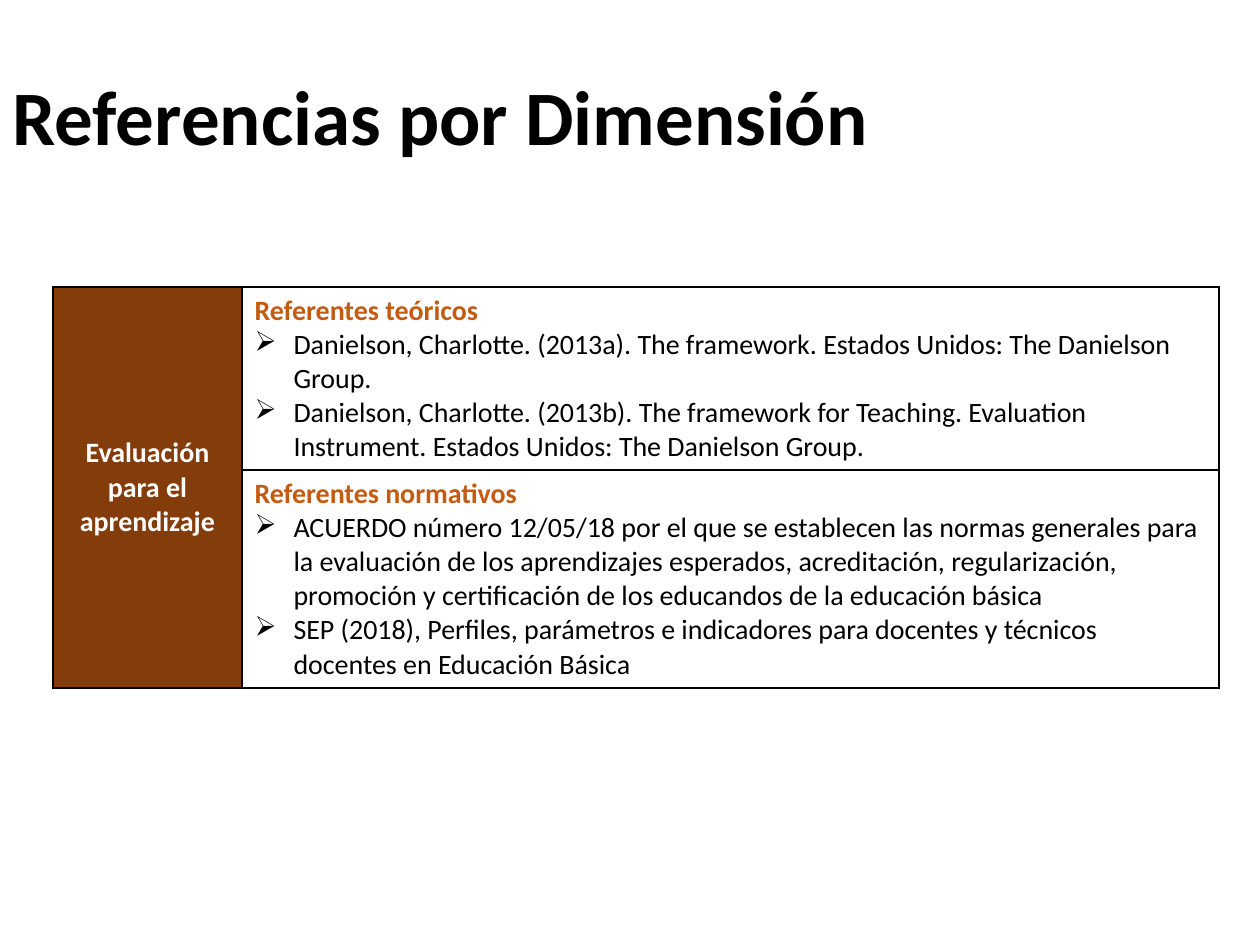
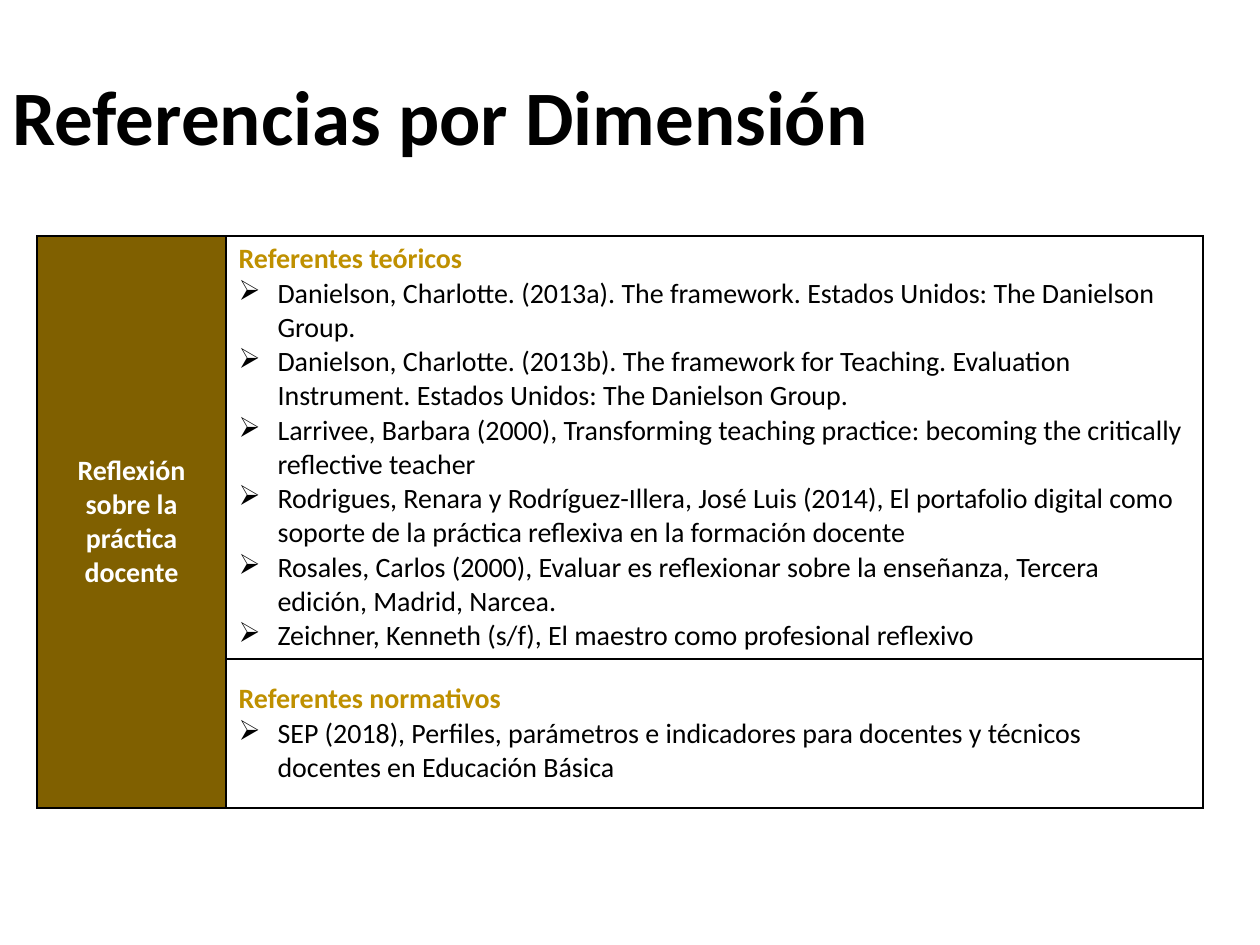
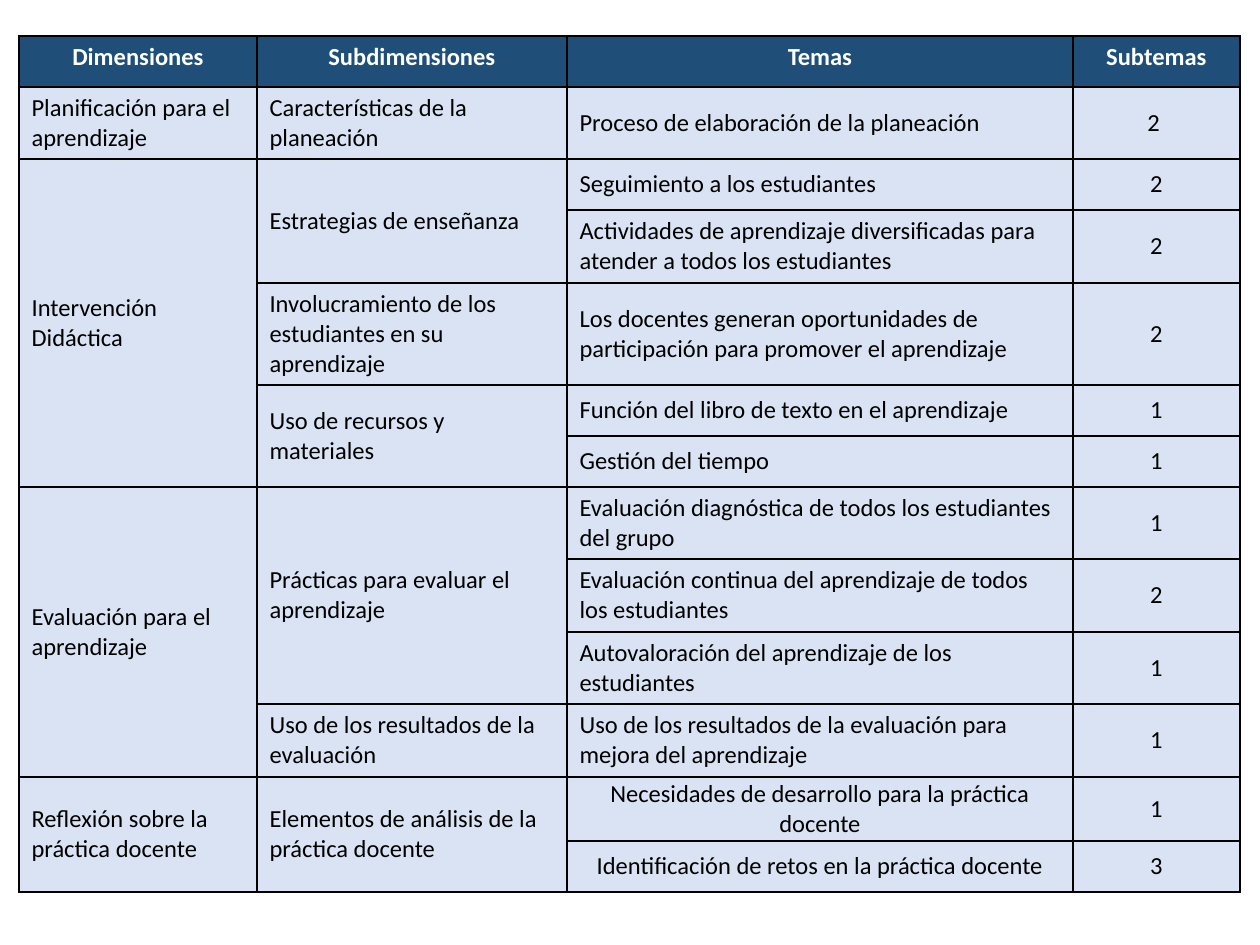
from dataclasses import dataclass
from itertools import accumulate

from lxml.etree import SubElement
from pptx import Presentation
from pptx.dml.color import RGBColor
from pptx.enum.text import MSO_ANCHOR, PP_ALIGN
from pptx.oxml import parse_xml
from pptx.oxml.ns import nsdecls, qn
from pptx.util import Emu, Pt

# Shared style
PX_PER_INCH = 126
FONT = "Calibri"
BLACK = RGBColor(0x00, 0x00, 0x00)
WHITE = RGBColor(0xFF, 0xFF, 0xFF)
BROWN = RGBColor(0x84, 0x3C, 0x0B)
ORANGE = RGBColor(0xC5, 0x5A, 0x11)
OLIVE = RGBColor(0x80, 0x60, 0x00)
GOLD = RGBColor(0xBF, 0x90, 0x00)
NAVY = RGBColor(0x1F, 0x4E, 0x79)
PALE_BLUE = RGBColor(0xDA, 0xE3, 0xF3)

TITLE = "Referencias por Dimensión"
BULLET_INDENT = 39
REFERENCE_COLUMNS = [189, 977]
SUMMARY_COLUMNS = [238, 310, 506, 167]
SUMMARY_ROWS = [51, 72, 51, 73, 102, 51, 51, 72, 73, 72, 73, 64, 51]


@dataclass(frozen=True)
class TextStyle:
    size: int
    color: RGBColor = BLACK
    bold: bool = False
    align: PP_ALIGN = PP_ALIGN.LEFT


@dataclass(frozen=True)
class References:
    heading: str
    entries: list[str]
    height: int


@dataclass(frozen=True)
class DimensionSources:
    name: str
    left: int
    top: int
    band: RGBColor
    accent: RGBColor
    groups: list[References]


@dataclass(frozen=True)
class Topic:
    name: str
    subtopics: str
    centred: bool = False


@dataclass(frozen=True)
class Subdimension:
    name: str
    topics: list[Topic]


@dataclass(frozen=True)
class Dimension:
    name: str
    subdimensions: list[Subdimension]


# Content
DANIELSON = [
    "Danielson, Charlotte. (2013a). The framework. Estados Unidos: The Danielson Group.",
    "Danielson, Charlotte. (2013b). The framework for Teaching. Evaluation Instrument. "
    "Estados Unidos: The Danielson Group.",
]
SEP_PROFILES = ("SEP (2018), Perfiles, parámetros e indicadores para docentes y técnicos "
                "docentes en Educación Básica")
THEORY = "Referentes teóricos"
NORMS = "Referentes normativos"

SOURCES = [
    DimensionSources("Evaluación para el aprendizaje", 53, 287, BROWN, ORANGE, [
        References(THEORY, DANIELSON, 183),
        References(NORMS, [
            "ACUERDO número 12/05/18 por el que se establecen las normas generales para la "
            "evaluación de los aprendizajes esperados, acreditación, regularización, promoción "
            "y certificación de los educandos de la educación básica",
            SEP_PROFILES,
        ], 218),
    ]),
    DimensionSources("Reflexión sobre la práctica docente", 37, 236, OLIVE, GOLD, [
        References(THEORY, DANIELSON + [
            "Larrivee, Barbara (2000), Transforming teaching practice: becoming the critically "
            "reflective teacher",
            "Rodrigues, Renara y Rodríguez-Illera, José Luis (2014), El portafolio digital como "
            "soporte de la práctica reflexiva en la formación docente",
            "Rosales, Carlos (2000), Evaluar es reflexionar sobre la enseñanza, Tercera edición, "
            "Madrid, Narcea.",
            "Zeichner, Kenneth (s/f), El maestro como profesional reflexivo",
        ], 423),
        References(NORMS, [SEP_PROFILES], 149),
    ]),
]

SUMMARY_HEADINGS = ["Dimensiones", "Subdimensiones", "Temas", "Subtemas"]
DIMENSIONS = [
    Dimension("Planificación para el aprendizaje", [
        Subdimension("Características de la planeación", [
            Topic("Proceso de elaboración de la planeación", "2 "),
        ]),
    ]),
    Dimension("Intervención Didáctica", [
        Subdimension("Estrategias de enseñanza", [
            Topic("Seguimiento a los estudiantes", "2"),
            Topic("Actividades de aprendizaje diversificadas para atender a todos los "
                  "estudiantes", "2"),
        ]),
        Subdimension("Involucramiento de los estudiantes en su aprendizaje", [
            Topic("Los docentes generan oportunidades de participación para promover el "
                  "aprendizaje", "2"),
        ]),
        Subdimension("Uso de recursos y materiales", [
            Topic("Función del libro de texto en el aprendizaje", "1"),
            Topic("Gestión del tiempo", "1"),
        ]),
    ]),
    Dimension("Evaluación para el aprendizaje", [
        Subdimension("Prácticas para evaluar el aprendizaje", [
            Topic("Evaluación diagnóstica de todos los estudiantes del grupo", "1"),
            Topic("Evaluación continua del aprendizaje de todos los estudiantes", "2"),
            Topic("Autovaloración del aprendizaje de los estudiantes", "1"),
        ]),
        Subdimension("Uso de los resultados de la evaluación", [
            Topic("Uso de los resultados de la evaluación para mejora del aprendizaje", "1"),
        ]),
    ]),
    Dimension("Reflexión sobre la práctica docente", [
        Subdimension("Elementos de análisis de la práctica docente", [
            Topic("Necesidades de desarrollo para la práctica docente", "1", centred=True),
            Topic("Identificación de retos en la práctica docente", "3", centred=True),
        ]),
    ]),
]


# Drawing helpers
def px(length: int) -> Emu:
    return Emu(round(length * 914400 / PX_PER_INCH))


def write(paragraph, text: str, style: TextStyle) -> None:
    paragraph.text = text
    paragraph.alignment = style.align
    for run in paragraph.runs:
        run.font.name = FONT
        run.font.size = Pt(style.size)
        run.font.bold = style.bold
        run.font.color.rgb = style.color


def add_bullet(paragraph) -> None:
    properties = paragraph._p.get_or_add_pPr()
    properties.set("marL", str(px(BULLET_INDENT)))
    properties.set("indent", str(-px(BULLET_INDENT)))
    SubElement(properties, qn("a:buChar")).set("char", "➢")


def add_borders(cell) -> None:
    properties = cell._tc.get_or_add_tcPr()
    for position, side in enumerate(("lnL", "lnR", "lnT", "lnB")):
        properties.insert(position, parse_xml(
            f'<a:{side} {nsdecls("a")} w="{Pt(1)}"><a:solidFill>'
            f'<a:srgbClr val="{BLACK}"/></a:solidFill></a:{side}>'))


def add_grid(slide, left: int, top: int, columns: list[int], rows: list[int]):
    grid = slide.shapes.add_table(len(rows), len(columns), px(left), px(top),
                                  px(sum(columns)), px(sum(rows))).table
    grid.first_row = False
    grid.horz_banding = False
    for column, width in zip(grid.columns, columns):
        column.width = px(width)
    for row, height in zip(grid.rows, rows):
        row.height = px(height)
    for cell in grid.iter_cells():
        cell.fill.background()
        cell.vertical_anchor = MSO_ANCHOR.MIDDLE
        add_borders(cell)
    return grid


def fill_span(grid, row: int, column: int, rows: int, text: str,
              style: TextStyle, color: RGBColor):
    for offset in range(rows):
        cell = grid.cell(row + offset, column)
        cell.fill.solid()
        cell.fill.fore_color.rgb = color
    first = grid.cell(row, column)
    if rows > 1:
        first.merge(grid.cell(row + rows - 1, column))
    write(first.text_frame.paragraphs[0], text, style)
    return first


def add_title(slide) -> None:
    frame = slide.shapes.add_textbox(px(0), px(-13), px(1086), px(183)).text_frame
    frame.word_wrap = True
    frame.vertical_anchor = MSO_ANCHOR.BOTTOM
    frame.margin_bottom = px(8)
    heading = frame.paragraphs[0]
    heading.line_spacing = 0.9
    write(heading, TITLE, TextStyle(44, bold=True))


# Slides
def draw_sources(slide, sources: DimensionSources) -> None:
    add_title(slide)
    grid = add_grid(slide, sources.left, sources.top, REFERENCE_COLUMNS,
                    [group.height for group in sources.groups])
    fill_span(grid, 0, 0, len(sources.groups), sources.name,
              TextStyle(16, WHITE, True, PP_ALIGN.CENTER), sources.band)
    for row, group in enumerate(sources.groups):
        frame = grid.cell(row, 1).text_frame
        write(frame.paragraphs[0], group.heading, TextStyle(16, sources.accent, True))
        for entry in group.entries:
            paragraph = frame.add_paragraph()
            add_bullet(paragraph)
            write(paragraph, entry, TextStyle(16))


def draw_summary(slide) -> None:
    grid = add_grid(slide, 19, 36, SUMMARY_COLUMNS, SUMMARY_ROWS)
    body = TextStyle(14)
    centred = TextStyle(14, align=PP_ALIGN.CENTER)
    header = TextStyle(14, WHITE, True, PP_ALIGN.CENTER)
    for column, heading in enumerate(SUMMARY_HEADINGS):
        cell = fill_span(grid, 0, column, 1, heading, header, NAVY)
        cell.vertical_anchor = MSO_ANCHOR.TOP

    row = 1
    for dimension in DIMENSIONS:
        counts = [len(part.topics) for part in dimension.subdimensions]
        fill_span(grid, row, 0, sum(counts), dimension.name, body, PALE_BLUE)
        starts = accumulate(counts, initial=row)
        for start, part in zip(starts, dimension.subdimensions):
            fill_span(grid, start, 1, len(part.topics), part.name, body, PALE_BLUE)
            for topic_row, topic in enumerate(part.topics, start):
                cell = fill_span(grid, topic_row, 2, 1, topic.name,
                                 centred if topic.centred else body, PALE_BLUE)
                if topic.centred:
                    cell.margin_left = cell.margin_right = px(4)
                    cell.margin_top = cell.margin_bottom = px(2)
                fill_span(grid, topic_row, 3, 1, topic.subtopics, centred, PALE_BLUE)
        row += sum(counts)


def main() -> None:
    deck = Presentation()
    deck.slide_width, deck.slide_height = px(1260), px(945)
    blank = deck.slide_layouts[6]
    for sources in SOURCES:
        draw_sources(deck.slides.add_slide(blank), sources)
    draw_summary(deck.slides.add_slide(blank))
    deck.save("out.pptx")


if __name__ == "__main__":
    main()
